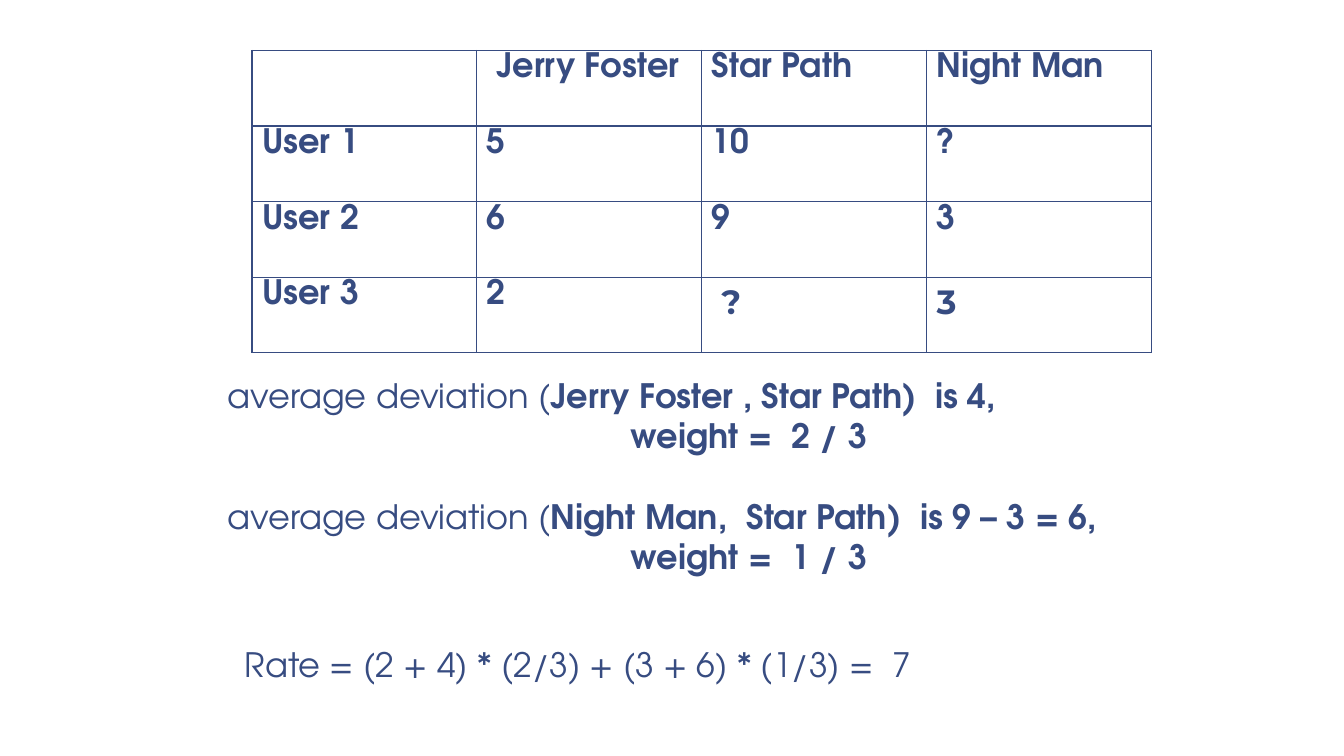
"""Build a slide with a film rating table and the weighted rate worked out from it."""
from lxml.etree import SubElement
from pptx import Presentation
from pptx.dml.color import RGBColor
from pptx.oxml.ns import qn
from pptx.util import Inches, Pt

NAVY = "374C81"
FONT = "TeX Gyre Adventor"
ALT_FONT = "Montserrat"


def style(font, name=FONT, bold=False, color=NAVY):
    font.name = name
    font.size = Pt(24)
    font.bold = bold
    font.color.rgb = RGBColor.from_string(color)


def add_border(cell, color=NAVY):
    properties = cell._tc.get_or_add_tcPr()
    for position, side in enumerate(("a:lnL", "a:lnR", "a:lnT", "a:lnB")):
        line = SubElement(properties, qn(side), w=str(Pt(1)))
        fill = SubElement(line, qn("a:solidFill"))
        SubElement(fill, qn("a:srgbClr"), val=color)
        properties.insert(position, line)


prs = Presentation()
prs.slide_width = Inches(13.33)
prs.slide_height = Inches(7.5)
slide = prs.slides.add_slide(prs.slide_layouts[6])

ratings = [
    ["", " Jerry Foster", "Star Path", "Night Man"],
    ["User 1", "5", "10", "?"],
    ["User 2", "6", "9", "3"],
    ["User 3", "2", " ?", "3"],
]
alt_cells = {(3, 2), (3, 3)}
table = slide.shapes.add_table(
    4, 4, Inches(2.5), Inches(0.5), Inches(8.92), Inches(3)).table
for column in table.columns:
    column.width = Inches(2.23)
for r, row in enumerate(ratings):
    table.rows[r].height = Inches(0.75)
    for c, rating in enumerate(row):
        cell = table.cell(r, c)
        cell.text = rating
        cell.margin_right = Inches(0.05)
        cell.fill.background()
        add_border(cell)
        paragraph = cell.text_frame.paragraphs[0]
        is_alt = (r, c) in alt_cells
        paragraph.line_spacing = 1.0 if is_alt else 0.9
        style(paragraph.font, ALT_FONT if is_alt else FONT, bold=True)

deviations = [
    ("Jerry Foster , Star Path)  is 4,", "weight =  2 / 3"),
    ("Night Man,  Star Path)  is 9 – 3 = 6,", "weight =  1 / 3"),
]
steps = slide.shapes.add_textbox(
    Inches(2.16), Inches(3.67), Inches(11.17), Inches(2.93)).text_frame
steps.word_wrap = True
for i, (films, weight) in enumerate(deviations):
    deviation = steps.add_paragraph() if i else steps.paragraphs[0]
    deviation.space_before = Pt(28.8 * i)
    for text, bold in (("average deviation (", False), (films, True)):
        run = deviation.add_run()
        run.text = text
        style(run.font, bold=bold)
    weighting = steps.add_paragraph()
    weighting.text = weight
    weighting._p.get_or_add_pPr().set("marL", str(Inches(4)))
    style(weighting.font, bold=True)

rate = slide.shapes.add_textbox(
    Inches(2.33), Inches(6.34), Inches(7.17), Inches(0.5)).text_frame
rate.word_wrap = True
rate.text = "Rate = (2 + 4) * (2/3) + (3 + 6) * (1/3) =  7"
style(rate.paragraphs[0].font)

prs.save("out.pptx")
